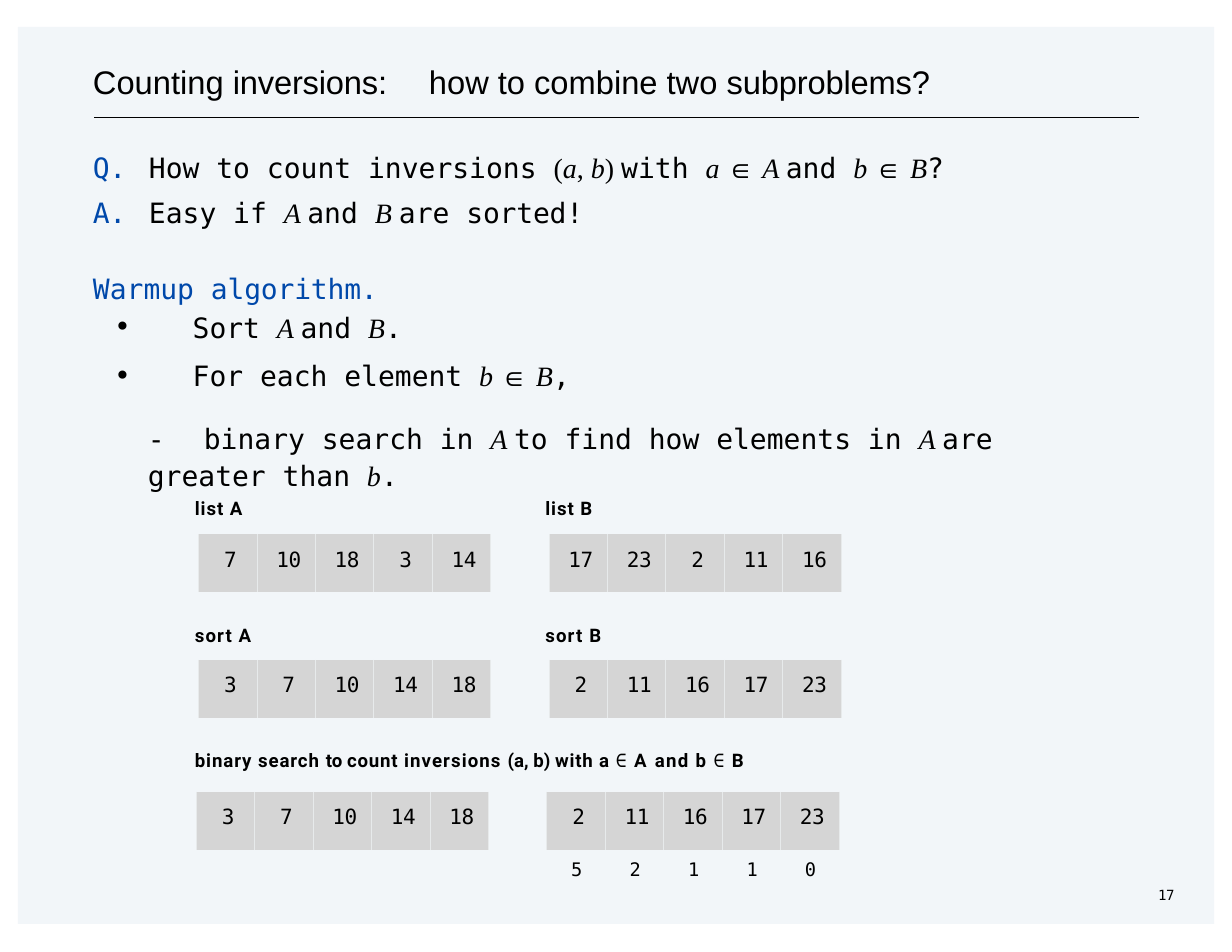
from dataclasses import dataclass
from typing import NamedTuple

from lxml import etree
from pptx import Presentation
from pptx.dml.color import RGBColor
from pptx.enum.shapes import MSO_CONNECTOR as Connector, MSO_SHAPE as Shape
from pptx.enum.text import MSO_ANCHOR as Anchor, MSO_AUTO_SIZE as AutoSize, PP_ALIGN as Align
from pptx.oxml.ns import qn
from pptx.util import Inches, Pt

COLORS = {"ink": "000000", "accent": "0048AA", "panel": "005493",
          "cell": "D5D5D5", "rule": "E7EAEB"}
MONO, SERIF, SANS, LABEL = "DejaVu Sans Mono", "Times New Roman", "Arial", "Roboto"
PLAIN_TABLE = "{2D5ABB26-0587-4C30-8999-92F81FD0307C}"


@dataclass(frozen=True)
class Style:
    font: str
    size: float
    color: str = "ink"
    bold: bool = False
    italic: bool = False


class Span(NamedTuple):
    text: str
    style: Style
    spacing: float = 0


class Line(NamedTuple):
    spans: list[Span]
    left: float = 0.06
    indent: float = 0
    before: float = 0
    height: float = 21
    tab: float | None = None
    bullet: str | None = None


class NumberRow(NamedTuple):
    left: float
    top: float
    values: list[int]


class Label(NamedTuple):
    left: float
    top: float
    width: float
    spans: list[Span]


BODY, KEY = Style(MONO, 18), Style(MONO, 18, "accent")
MATH, VARIABLE = Style(SERIF, 18), Style(SERIF, 18, italic=True)
SYMBOL, TITLE = Style(SANS, 18), Style(SANS, 21)
CAPTION, MEMBER = Style(LABEL, 12, bold=True), Style(MONO, 12)
NUMBER, COUNT, FOLIO = Style(MONO, 13.5), Style(MONO, 12), Style(MONO, 9)


def text(words: str) -> Span:
    return Span(words, BODY)


def var(name: str) -> Span:
    return Span(name, VARIABLE)


IN = Span("∈ ", SYMBOL)
LINES = [
    Line([Span("Q.\t", KEY, -0.2), text("How to count inversions "), Span("(", MATH), var("a"),
          Span(", ", MATH), var("b"), Span(") ", MATH), text("with "), var("a "), IN, var("A "),
          text("and "), var("b "), IN, var("B"), text("?")], tab=0.49),
    Line([Span("A.\t", KEY, -0.2), text("Easy if "), var("A "), text("and "), var("B "),
          text("are "), Span("sorted!", BODY, -0.1)], before=8, tab=0.47),
    Line([Span("Warmup ", KEY), Span("algorithm.", KEY, -0.1)], before=28),
    Line([text("Sort "), var("A "), text("and "), var("B"), text(".")],
         left=0.95, indent=-0.7, before=4, bullet="•"),
    Line([text("For each element "), var("b "), IN, var("B"), text(",")],
         left=0.95, indent=-0.7, before=10, bullet="•"),
    Line([text("-\t"), text("binary search in "), var("A "), text("to find how elements in "),
          var("A "), text("are greater than "), var("b"), text(".")],
         left=0.55, before=16.7, height=23.8, tab=0.81),
]

LIST_A, LIST_B = [7, 10, 18, 3, 14], [17, 23, 2, 11, 16]
ROWS = [
    NumberRow(1.77, 4.77, LIST_A), NumberRow(4.9, 4.77, LIST_B),
    NumberRow(1.77, 5.89, sorted(LIST_A)), NumberRow(4.9, 5.89, sorted(LIST_B)),
    NumberRow(1.75, 7.07, sorted(LIST_A)), NumberRow(4.88, 7.07, sorted(LIST_B)),
]
CELL = 2.61 / 5
# Elements of A greater than each b
COUNTS = [sum(a > b for a in LIST_A) for b in sorted(LIST_B)]

MEMBER_OF = Span("∈ ", MEMBER, -2.7)
LABELS = [
    Label(1.73, 4.43, 0.48, [Span("list ", CAPTION, 0.6), Span("A", CAPTION, 0.7)]),
    Label(4.86, 4.43, 0.46, [Span("list ", CAPTION, 0.6), Span("B", CAPTION, -0.5)]),
    Label(1.73, 5.56, 0.55, [Span("sort A", CAPTION, 0.7)]),
    Label(4.86, 5.56, 0.53, [Span("sort ", CAPTION, 0.7), Span("B", CAPTION, -0.5)]),
    Label(1.73, 6.68, 5.16, [
        Span("binary search ", CAPTION, 0.6), Span("to ", CAPTION), Span("count ", CAPTION, 0.5),
        Span("inversions ", CAPTION, 0.7), Span("(a, b) ", CAPTION), Span("with ", CAPTION, 0.5),
        Span("a ", CAPTION, 0.6), MEMBER_OF, Span("A ", CAPTION, 1.2), Span("and ", CAPTION, 0.8),
        Span("b ", CAPTION, 0.9), MEMBER_OF, Span("B", CAPTION, -0.5)]),
    *[Label(5.09 + i * CELL, 7.65, 0.13, [Span(str(count), COUNT, -0.5)])
      for i, count in enumerate(COUNTS)],
    Label(10.33, 7.91, 0.23, [Span("17", FOLIO, -0.2)]),
]


def rgb(name: str) -> RGBColor:
    return RGBColor.from_string(COLORS[name])


def add_spans(para, spans: list[Span]) -> None:
    for span in spans:
        run = para.add_run()
        run.text = span.text
        font, style = run.font, span.style
        font.name, font.size = style.font, Pt(style.size)
        font.bold, font.italic = style.bold, style.italic
        font.color.rgb = rgb(style.color)
        if span.spacing:
            font._element.set("spc", str(round(span.spacing * 100)))


def format_para(para, left: float, indent: float = 0, tab: float | None = None,
                bullet: str | None = None) -> None:
    props = para._p.get_or_add_pPr()
    props.set("marL", str(Inches(left)))
    props.set("indent", str(Inches(indent)))
    if bullet:
        etree.SubElement(props, qn("a:buFont"), typeface=MONO)
        etree.SubElement(props, qn("a:buChar"), char=bullet)
    else:
        etree.SubElement(props, qn("a:buNone"))
    if tab:
        tabs = etree.SubElement(props, qn("a:tabLst"))
        etree.SubElement(tabs, qn("a:tab"), pos=str(Inches(tab)), algn="l")


def set_frame(frame, top: float) -> None:
    frame.word_wrap, frame.auto_size = True, AutoSize.NONE
    frame.vertical_anchor = Anchor.TOP
    frame.margin_left = frame.margin_right = frame.margin_bottom = 0
    frame.margin_top = Inches(top)


def place(shape, left: float, top: float, width: float, height: float) -> None:
    shape.left, shape.top = Inches(left), Inches(top)
    shape.width, shape.height = Inches(width), Inches(height)


def add_label(page, label: Label) -> None:
    box = page.shapes.add_textbox(Inches(label.left), Inches(label.top),
                                  Inches(label.width), Inches(0.23))
    set_frame(box.text_frame, 0.01)
    para = box.text_frame.paragraphs[0]
    format_para(para, 0.01)
    add_spans(para, label.spans)


def add_number_row(page, row: NumberRow) -> None:
    frame = page.shapes.add_table(1, len(row.values), Inches(row.left), Inches(row.top),
                                  Inches(CELL * len(row.values)), Inches(0.52))
    table = frame.table
    table.first_row = table.horz_banding = False
    table._tbl.tblPr.find(qn("a:tableStyleId")).text = PLAIN_TABLE
    for cell, value in zip(table.rows[0].cells, row.values):
        cell.margin_left, cell.margin_top = Inches(0.05), Inches(0.12)
        cell.margin_right = cell.margin_bottom = 0
        cell.fill.solid()
        cell.fill.fore_color.rgb = rgb("cell")
        para = cell.text_frame.paragraphs[0]
        para.alignment = Align.CENTER
        add_spans(para, [Span(str(value), NUMBER, -0.2 if value > 9 else -0.5)])
        # Thin light edges on the left and right
        for position, side in enumerate(("a:lnL", "a:lnR")):
            edge = etree.Element(qn(side), w=str(Pt(0.25)))
            fill = etree.SubElement(edge, qn("a:solidFill"))
            etree.SubElement(fill, qn("a:srgbClr"), val=COLORS["rule"])
            cell._tc.get_or_add_tcPr().insert(position, edge)


def main() -> None:
    deck = Presentation()
    deck.slide_width, deck.slide_height = Inches(11), Inches(8.5)
    page = deck.slides.add_slide(deck.slide_layouts[1])

    # Tinted panel behind everything
    panel = page.shapes.add_shape(Shape.RECTANGLE, Inches(0.16), Inches(0.24),
                                  Inches(10.68), Inches(8.01))
    panel.shadow.inherit = False
    panel.fill.solid()
    panel.fill.fore_color.rgb = rgb("panel")
    panel.line.fill.background()
    tint = panel.element.spPr.find(qn("a:solidFill")).find(qn("a:srgbClr"))
    etree.SubElement(tint, qn("a:alpha"), val="5000")
    page.shapes.element.insert(2, panel.element)

    # Title and the rule below it
    title = page.shapes.title
    place(title, 0.82, 0.52, 7.6, 0.38)
    set_frame(title.text_frame, 0.03)
    para = title.text_frame.paragraphs[0]
    format_para(para, 0.01, tab=2.85)
    para.alignment = Align.LEFT
    add_spans(para, [Span("Counting ", TITLE), Span("inversions:", TITLE, -0.1),
                     Span("\thow to combine two ", TITLE), Span("subproblems?", TITLE, -0.1)])
    rule = page.shapes.add_connector(Connector.STRAIGHT, Inches(0.84), Inches(1.05),
                                     Inches(10.17), Inches(1.05))
    rule.line.color.rgb, rule.line.width = rgb("ink"), Pt(0.75)
    etree.SubElement(rule.element.spPr, qn("a:effectLst"))

    # Question, answer and algorithm
    body = page.placeholders[1]
    place(body, 0.77, 1.24, 8.49, 3.2)
    set_frame(body.text_frame, 0.11)
    for i, line in enumerate(LINES):
        para = body.text_frame.add_paragraph() if i else body.text_frame.paragraphs[0]
        format_para(para, line.left, line.indent, line.tab, line.bullet)
        para.line_spacing, para.space_before = Pt(line.height), Pt(line.before)
        add_spans(para, line.spans)

    # Worked example
    for row in ROWS:
        add_number_row(page, row)
    for label in LABELS:
        add_label(page, label)
    deck.save("out.pptx")


if __name__ == "__main__":
    main()
